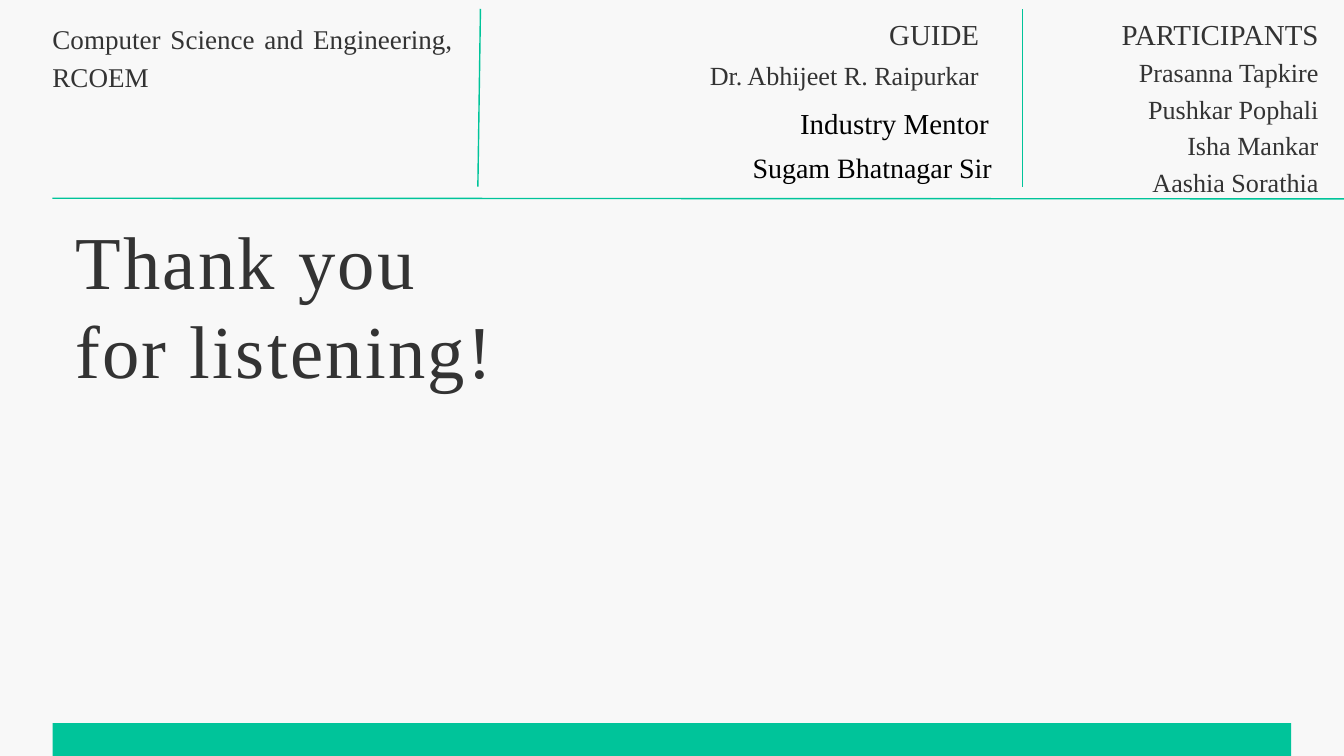
from lxml import etree
from pptx import Presentation
from pptx import util as u
from pptx.dml.color import RGBColor
from pptx.enum import shapes, text
from pptx.oxml.ns import qn

FONT = "Times New Roman"
PAPER = RGBColor(0xF8, 0xF8, 0xF8)
GREEN = RGBColor(0x00, 0xC4, 0x9A)
GRAY = RGBColor(0x33, 0x33, 0x33)
BLACK = RGBColor(0, 0, 0)
LEFT, RIGHT, MID, JUST = (text.PP_ALIGN.LEFT, text.PP_ALIGN.RIGHT,
                          text.PP_ALIGN.CENTER, text.PP_ALIGN.JUSTIFY)


def add_text(slide, box, lines, size, lead, align, color=GRAY, track=0):
    """Put lines of one style in a box without margins."""
    frame = slide.shapes.add_textbox(*map(u.Pt, box)).text_frame
    frame.word_wrap = True
    frame.margin_left = frame.margin_right = 0
    frame.margin_top = frame.margin_bottom = 0
    for i, line in enumerate(lines):
        para = frame.paragraphs[0] if i == 0 else frame.add_paragraph()
        para.alignment = align
        para.line_spacing = u.Pt(lead)
        run = para.add_run()
        run.text = line
        run.font.name = FONT
        run.font.size = u.Pt(size)
        run.font.color.rgb = color
        if track:
            run.font._element.set("spc", str(int(track * 100)))


def add_rule(slide, *ends):
    """Draw a thin green line from x1, y1 to x2, y2."""
    rule = slide.shapes.add_connector(
        shapes.MSO_CONNECTOR.STRAIGHT, *map(u.Pt, ends))
    rule.line.color.rgb = GREEN
    rule.line.width = u.Pt(1.5)
    etree.SubElement(rule._element.spPr, qn("a:effectLst"))


def add_bar(slide, *box):
    """Draw a solid green bar."""
    bar = slide.shapes.add_shape(
        shapes.MSO_SHAPE.RECTANGLE, *map(u.Pt, box))
    bar.shadow.inherit = False
    bar.fill.solid()
    bar.fill.fore_color.rgb = GREEN
    bar.line.fill.background()


def main():
    deck = Presentation()
    deck.slide_width, deck.slide_height = u.Pt(1440), u.Pt(810)
    slide = deck.slides.add_slide(deck.slide_layouts[6])
    slide.background.fill.solid()
    slide.background.fill.fore_color.rgb = PAPER

    # Footer bar and closing words
    add_bar(slide, 56.5, 774.7, 1327, 35.3)
    add_text(slide, (80.6, 229.7, 562, 204.5),
             ["Thank you", "for listening!"], 80, 96, LEFT, track=2.5)

    # Department
    add_text(slide, (56.2, 18.7, 429, 84),
             ["Computer Science and Engineering, RCOEM"], 29, 40.6, JUST)

    # Guide and mentor
    add_text(slide, (820, 11.5, 229, 46), ["GUIDE"], 31, 43.4, RIGHT)
    add_text(slide, (669.6, 57.6, 379, 42.5),
             ["Dr. Abhijeet R. Raipurkar"], 28, 39.2, RIGHT)
    add_text(slide, (797.8, 100.8, 321, 51),
             ["Industry Mentor"], 31, 49.6, MID, BLACK)
    add_text(slide, (797.8, 149.8, 273.6, 50.4),
             ["Sugam Bhatnagar Sir"], 30, 48, MID, BLACK)

    # Participants
    add_text(slide, (1159.2, 11.5, 253.4, 46),
             ["PARTICIPANTS"], 31, 43.4, RIGHT)
    add_text(slide, (1159.2, 54.7, 253.4, 159),
             ["Prasanna Tapkire", "Pushkar Pophali", "Isha Mankar",
              "Aashia Sorathia"], 28, 39.2, RIGHT)

    # Header rules
    add_rule(slide, 512, 200, 514.8, 9.4)
    add_rule(slide, 1095.8, 200, 1095.8, 9.4)
    add_rule(slide, 56.2, 212.4, 1440, 213.1)

    deck.save("out.pptx")


if __name__ == "__main__":
    main()
